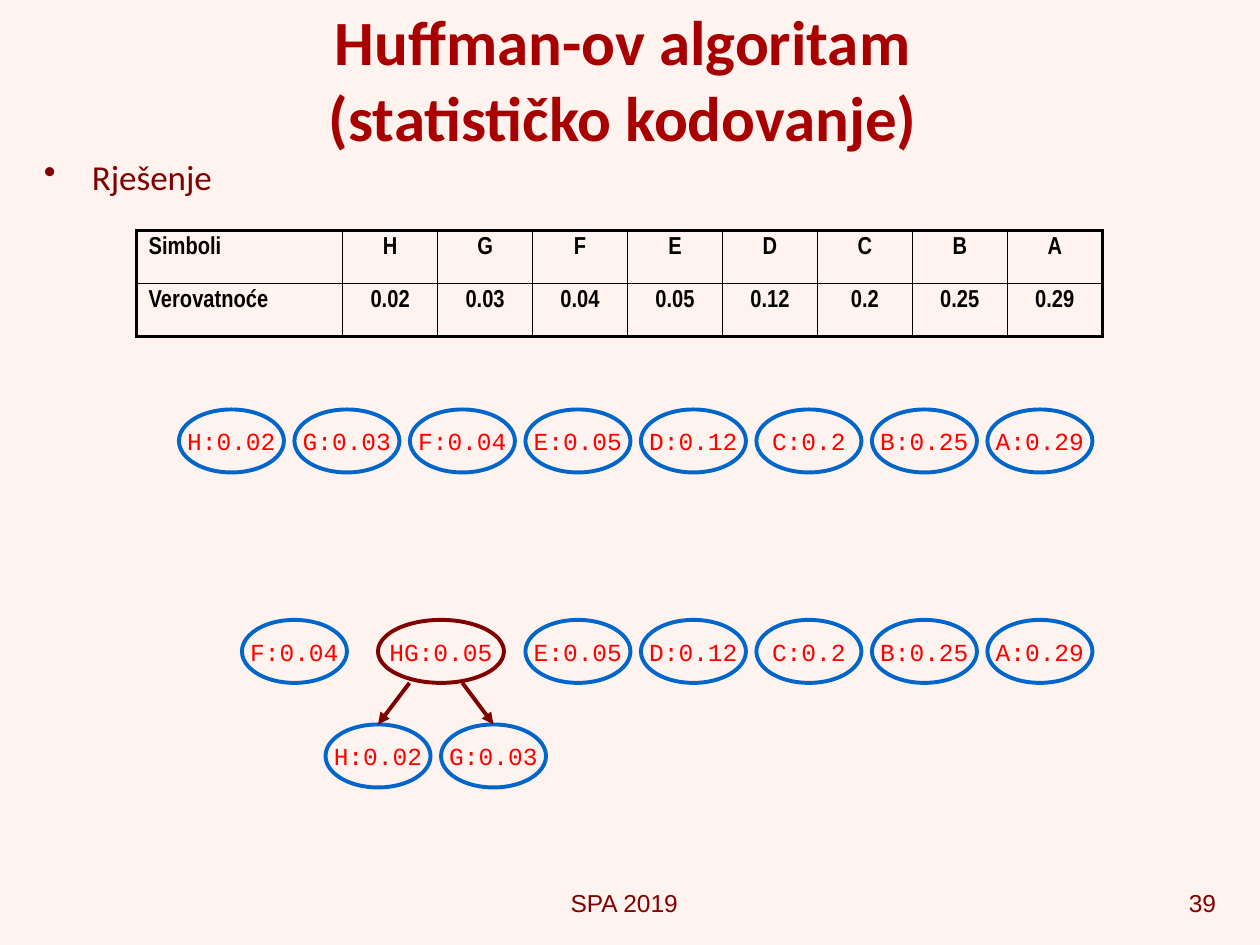
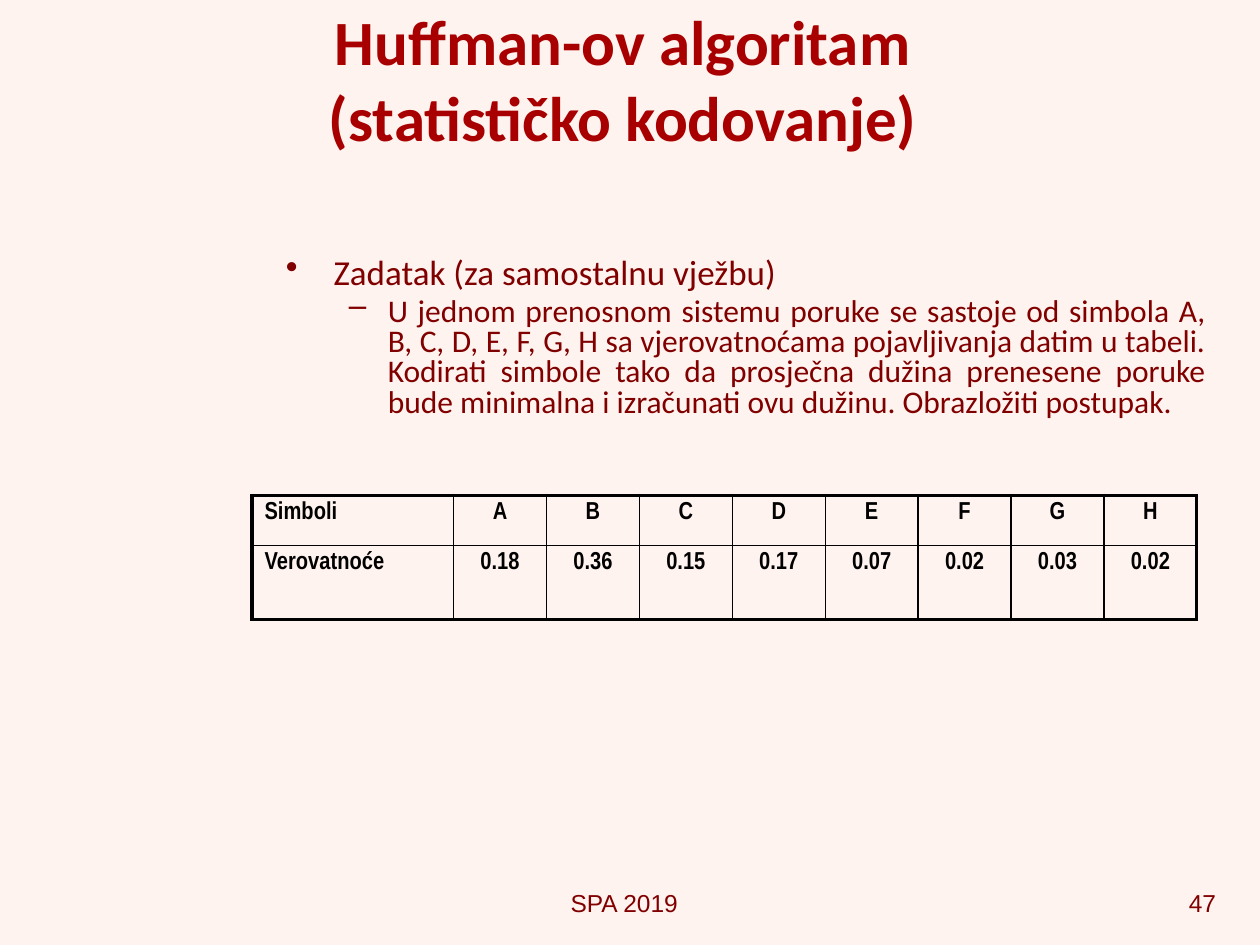
from lxml.etree import SubElement
from pptx import Presentation
from pptx.dml.color import RGBColor
from pptx.enum.shapes import MSO_CONNECTOR, MSO_SHAPE
from pptx.enum.text import MSO_ANCHOR, PP_ALIGN
from pptx.oxml.ns import qn
from pptx.util import Inches, Pt

CREAM = RGBColor(0xFF, 0xF3, 0xEF)
MAROON = RGBColor(0x80, 0x00, 0x00)
CRIMSON = RGBColor(0xA8, 0x00, 0x00)
RED = RGBColor(0xFF, 0x00, 0x00)
BLUE = RGBColor(0x00, 0x66, 0xCC)
BLACK = RGBColor(0x00, 0x00, 0x00)

TITLE = "Huffman-ov algoritam \v(statističko kodovanje) "
FOOTER = "SPA 2019"
TASK = (
    "U jednom prenosnom sistemu poruke se sastoje od simbola A, B, C, D, E, F, G, H "
    "sa vjerovatnoćama pojavljivanja datim u tabeli. Kodirati simbole tako da prosječna "
    "dužina prenesene poruke bude minimalna i izračunati ovu dužinu. Obrazložiti postupak."
)
SOLVED = {"H": "0.02", "G": "0.03", "F": "0.04", "E": "0.05",
          "D": "0.12", "C": "0.2", "B": "0.25", "A": "0.29"}
EXERCISE = {"A": "0.18", "B": "0.36", "C": "0.15", "D": "0.17",
            "E": "0.07", "F": "0.02", "G": "0.03", "H": "0.02"}
BULLETS = [("•", 0.38, 0.38), ("–", 0.81, 0.31)]

NODE_WIDTH = 10 / 12
NODE_HEIGHT = 0.5
NODE_STEP = 11 / 12
MERGED_WIDTH = 1


def write(para, text, font="Calibri", size=14, color=MAROON, bold=False, align=PP_ALIGN.LEFT):
    para.alignment = align
    para.text = text
    for span in para.runs:
        span.font.name = font
        span.font.size = Pt(size)
        span.font.bold = bold
        span.font.color.rgb = color


def add_box(page, left, top, width, height, anchor=MSO_ANCHOR.TOP):
    box = page.shapes.add_textbox(Inches(left), Inches(top), Inches(width), Inches(height))
    frame = box.text_frame
    frame.word_wrap = True
    frame.vertical_anchor = anchor
    return frame


def add_page(deck, number):
    page = deck.slides.add_slide(deck.slide_layouts[6])
    page.background.fill.solid()
    page.background.fill.fore_color.rgb = CREAM
    footer = add_box(page, 3.74, 7, 2.43, 0.33)
    write(footer.paragraphs[0], FOOTER, font="Arial", align=PP_ALIGN.CENTER)
    counter = add_box(page, 7.75, 7, 2, 0.33)
    write(counter.paragraphs[0], str(number), font="Arial", align=PP_ALIGN.RIGHT)
    title = add_box(page, 0.25, 0.08, 9.5, 1.08, MSO_ANCHOR.MIDDLE)
    write(title.paragraphs[0], TITLE, size=36, color=CRIMSON, bold=True, align=PP_ALIGN.CENTER)
    return page


def add_bullets(page, left, top, width, height, items):
    frame = add_box(page, left, top, width, height)
    for index, (level, text, size, align) in enumerate(items):
        para = frame.add_paragraph() if index else frame.paragraphs[0]
        mark, margin, hang = BULLETS[level]
        para.level = level
        para.line_spacing = 0.8
        para.space_before = Pt(size * 0.2 if index else 0)
        props = para._p.get_or_add_pPr()
        props.set("marL", str(Inches(margin)))
        props.set("indent", str(-Inches(hang)))
        SubElement(props, qn("a:buChar"), char=mark)
        write(para, text, size=size, align=align)


def set_borders(cell, widths):
    props = cell._tc.get_or_add_tcPr()
    for side, width in zip("LRTB", widths):
        line = SubElement(props, qn(f"a:ln{side}"), w=str(Pt(width)))
        fill = SubElement(line, qn("a:solidFill"))
        SubElement(fill, qn("a:srgbClr"), val=str(BLACK))
    cell.fill.background()


def add_probabilities(page, left, top, width, label_width, heights, odds):
    rows = [["Simboli", *odds.keys()], ["Verovatnoće", *odds.values()]]
    last = len(odds)
    table = page.shapes.add_table(
        2, last + 1, Inches(left), Inches(top), Inches(width), Inches(sum(heights))
    ).table
    table.first_row = table.horz_banding = False
    for index, column in enumerate(table.columns):
        column.width = Inches((width - label_width) / last if index else label_width)
    for y, values in enumerate(rows):
        table.rows[y].height = Inches(heights[y])
        for x, value in enumerate(values):
            cell = table.cell(y, x)
            write(cell.text_frame.paragraphs[0], value, font="Arial Narrow", color=BLACK,
                  bold=True, align=PP_ALIGN.CENTER if x else PP_ALIGN.LEFT)
            edges = (x == 0, x == last, y == 0, y == 1)
            set_borders(cell, [2 if outer else 1 for outer in edges])


def add_node(page, left, top, text, width=NODE_WIDTH, color=BLUE):
    node = page.shapes.add_shape(
        MSO_SHAPE.OVAL, Inches(left), Inches(top), Inches(width), Inches(NODE_HEIGHT))
    node.shadow.inherit = False
    node.fill.background()
    node.line.color.rgb = color
    node.line.width = Pt(2.25)
    frame = node.text_frame
    frame.word_wrap = False
    frame.vertical_anchor = MSO_ANCHOR.MIDDLE
    write(frame.paragraphs[0], text, font="Courier New", color=RED, align=PP_ALIGN.CENTER)


def add_leaves(page, left, top, symbols):
    for index, symbol in enumerate(symbols):
        add_node(page, left + index * NODE_STEP, top, f"{symbol}:{SOLVED[symbol]}")


def add_arrow(page, start, end):
    arrow = page.shapes.add_connector(MSO_CONNECTOR.STRAIGHT, *map(Inches, start + end))
    arrow.line.color.rgb = MAROON
    arrow.line.width = Pt(2.25)
    SubElement(arrow.line._get_or_add_ln(), qn("a:tailEnd"), type="triangle")
    SubElement(arrow._element.spPr, qn("a:effectLst"))


def add_merged(page, left, top):
    children_left = left - NODE_WIDTH / 2
    children_top = top + NODE_HEIGHT + 0.33
    add_leaves(page, children_left, children_top, "HG")
    add_node(page, left, top, "HG:0.05", width=MERGED_WIDTH, color=MAROON)
    for index, offset in enumerate((0.25, 0.67)):
        add_arrow(page, (left + offset, top + NODE_HEIGHT),
                  (left + index * NODE_STEP, children_top))


def add_solution(deck):
    page = add_page(deck, 39)
    add_bullets(page, 0.25, 1.25, 1.75, 0.42, [(0, "Rješenje", 20, PP_ALIGN.LEFT)])
    add_probabilities(page, 1.08, 1.83, 7.67, 1.64, (0.42, 0.42), SOLVED)
    forest_left = 1.42
    add_leaves(page, forest_left, 3.25, SOLVED)
    add_leaves(page, forest_left + 0.5, 4.92, "F")
    add_merged(page, 3, 4.92)
    add_leaves(page, forest_left + 3 * NODE_STEP, 4.92, "EDCBA")


def add_exercise(deck):
    page = add_page(deck, 47)
    add_bullets(page, 2.17, 2, 7.5, 1.58, [
        (0, "Zadatak (za samostalnu vježbu)", 20, PP_ALIGN.LEFT),
        (1, TASK, 18, PP_ALIGN.JUSTIFY),
    ])
    add_probabilities(page, 2, 3.93, 7.5, 1.6, (0.4, 0.59), EXERCISE)


def main():
    deck = Presentation()
    deck.slide_width = Inches(10)
    deck.slide_height = Inches(7.5)
    add_solution(deck)
    add_exercise(deck)
    deck.save("out.pptx")


if __name__ == "__main__":
    main()
